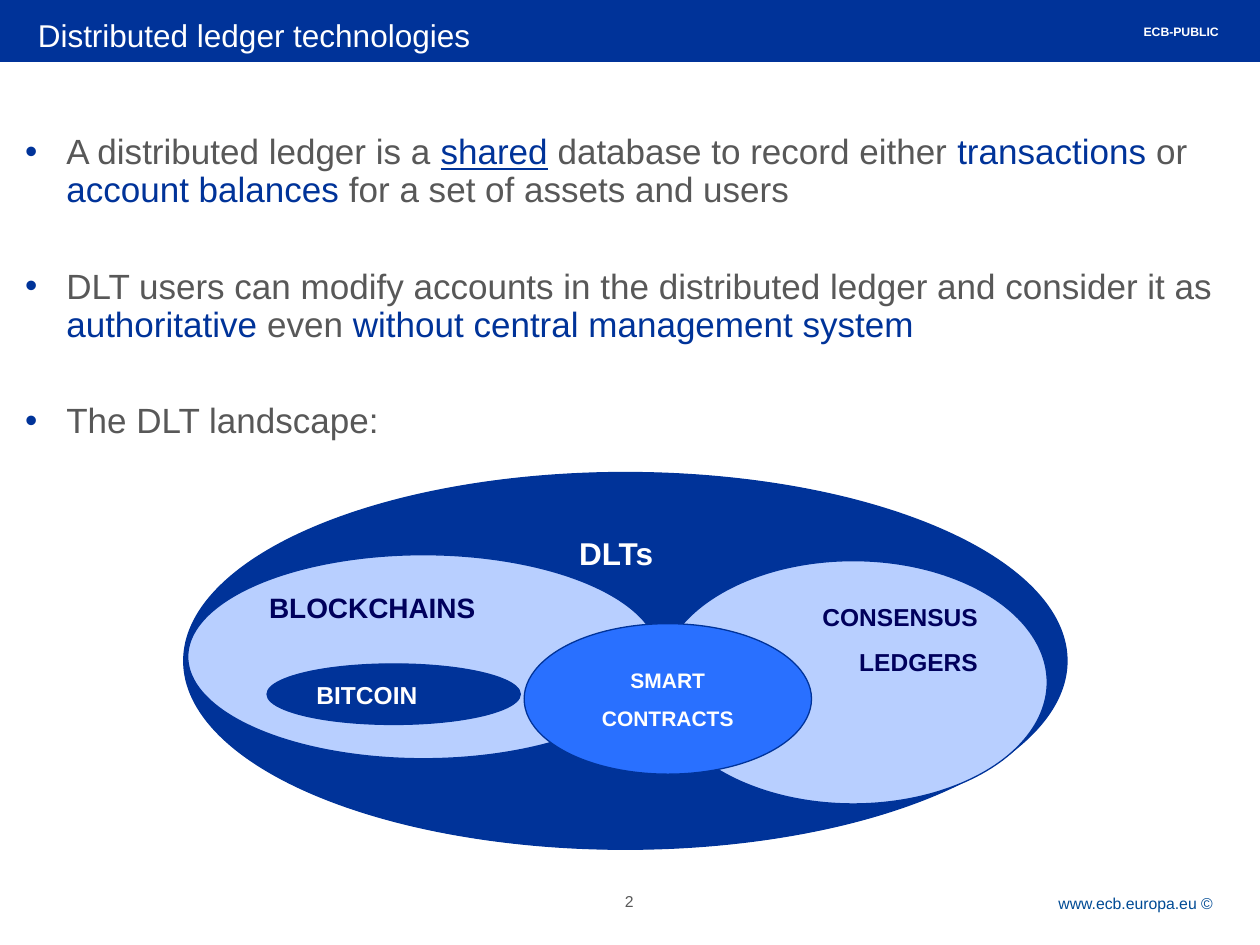
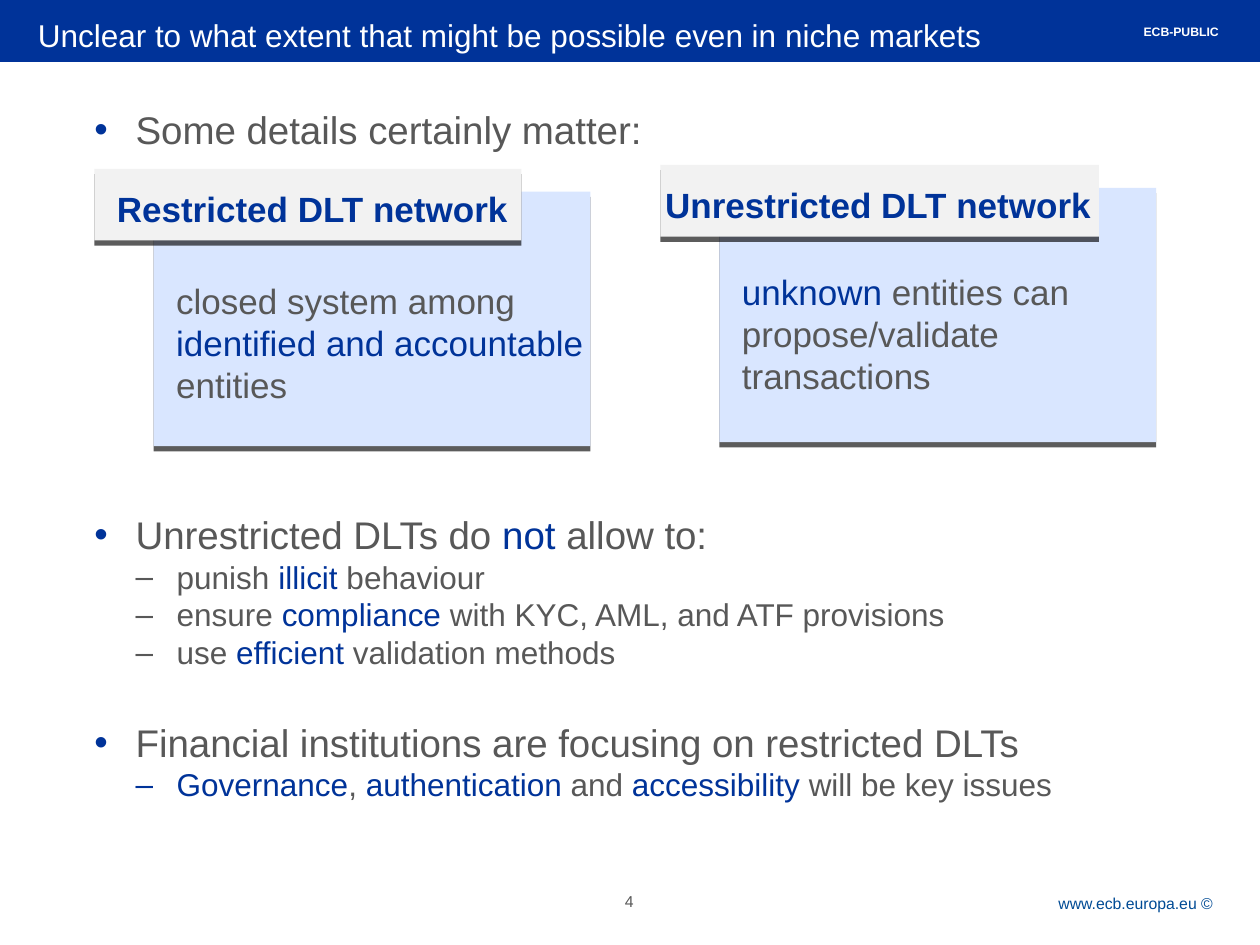
from dataclasses import dataclass

from lxml.etree import SubElement
from pptx import Presentation
from pptx.dml.color import RGBColor
from pptx.enum.shapes import MSO_SHAPE
from pptx.enum.text import MSO_ANCHOR, MSO_AUTO_SIZE, PP_ALIGN
from pptx.oxml.ns import qn
from pptx.util import Pt

NAVY = RGBColor(0x00, 0x33, 0x99)
DEEP = RGBColor(0x00, 0x00, 0x5C)
BRIGHT = RGBColor(0x29, 0x70, 0xFF)
PALE = RGBColor(0xB8, 0xCF, 0xFF)
PANEL = RGBColor(0xD9, 0xE6, 0xFF)
LIGHT = RGBColor(0xF2, 0xF2, 0xF2)
GREY = RGBColor(0x58, 0x58, 0x58)
LINK = RGBColor(0x00, 0x4B, 0x95)
WHITE = RGBColor(0xFF, 0xFF, 0xFF)

FONT = "Arial"
INDENT = 23.5
PADDING = (7.2, 3.6, 7.2, 3.6)
NO_PADDING = (0, 0, 0, 0)


@dataclass
class Span:
    text: str
    colour: RGBColor = GREY
    bold: bool = False
    underline: bool = False


@dataclass
class Line:
    spans: list
    size: float
    align: PP_ALIGN = PP_ALIGN.LEFT
    before: float = 0
    spacing: object = None
    bullet: str = ""
    bullet_colour: RGBColor = NAVY
    level: int = 0


def key(text, underline=False):
    return Span(text, NAVY, underline=underline)


def label(text, size, colour, align=PP_ALIGN.LEFT, before=0):
    return Line([Span(text, colour, True)], size, align, before)


class Deck:
    def __init__(self):
        self.presentation = Presentation()
        self.presentation.slide_width = Pt(720)
        self.presentation.slide_height = Pt(540)
        self.page = None

    def start_page(self, title, number):
        layout = self.presentation.slide_layouts[5]
        self.page = self.presentation.slides.add_slide(layout)
        band = self.shape(MSO_SHAPE.RECTANGLE, (0, -2, 720, 37.2), NAVY, NAVY)
        heading = self.page.shapes.title
        heading.element.addprevious(band.element)
        heading.left, heading.top, heading.width, heading.height = map(
            Pt, (21.6, 9.4, 673, 28))
        self.fill_text(heading, [Line([Span(title, WHITE)], 18)], NO_PADDING)
        self.text((515, 509.8, 180.5, 15),
                  [Line([Span("www.ecb.europa.eu © ", LINK)], 9,
                        PP_ALIGN.RIGHT, spacing=Pt(12))])
        self.text((343.4, 509.8, 32.4, 18.7),
                  [Line([Span(str(number))], 9, PP_ALIGN.CENTER)])
        self.text((553, 10.1, 150.5, 16),
                  [label("ECB-PUBLIC", 7, WHITE, PP_ALIGN.RIGHT)], PADDING)

    def shape(self, kind, place, fill, outline=None):
        shape = self.page.shapes.add_shape(kind, *map(Pt, place))
        shape.shadow.inherit = False
        shape.fill.solid()
        shape.fill.fore_color.rgb = fill
        if outline is None:
            shape.line.fill.background()
        else:
            shape.line.color.rgb = outline
            shape.line.width = Pt(0.75)
        return shape

    def oval(self, place, fill, lines, anchor=MSO_ANCHOR.TOP, left=7.2):
        oval = self.shape(MSO_SHAPE.OVAL, place, fill, NAVY)
        self.fill_text(oval, lines, (left, *PADDING[1:]), anchor)

    def raised_panel(self, place, fill):
        panel = self.shape(MSO_SHAPE.RECTANGLE, place, fill)
        effects = panel.element.spPr.find(qn("a:effectLst"))
        shadow = SubElement(effects, qn("a:outerShdw"), dist=str(Pt(3)),
                            dir="5400000", algn="t", rotWithShape="0")
        black = SubElement(shadow, qn("a:srgbClr"), val="000000")
        SubElement(black, qn("a:alpha"), val="63000")

    def text(self, place, lines, padding=NO_PADDING):
        box = self.page.shapes.add_textbox(*map(Pt, place))
        self.fill_text(box, lines, padding)

    def fill_text(self, box, lines, padding, anchor=MSO_ANCHOR.TOP):
        frame = box.text_frame
        frame.word_wrap = True
        frame.auto_size = MSO_AUTO_SIZE.NONE
        frame.vertical_anchor = anchor
        (frame.margin_left, frame.margin_top,
         frame.margin_right, frame.margin_bottom) = map(Pt, padding)
        for index, line in enumerate(lines):
            para = frame.paragraphs[0] if index == 0 else frame.add_paragraph()
            if line.bullet:
                self.add_bullet(para, line)
            para.alignment = line.align
            para.space_before = Pt(line.before if index else 0)
            if line.spacing:
                para.line_spacing = line.spacing
            for span in line.spans:
                run = para.add_run()
                run.text = span.text
                run.font.name = FONT
                run.font.size = Pt(line.size)
                run.font.bold = span.bold
                run.font.color.rgb = span.colour
                if span.underline:
                    run.font.underline = True

    def add_bullet(self, para, line):
        para.level = line.level
        properties = para._p.get_or_add_pPr()
        properties.set("marL", str(Pt(INDENT * (line.level + 1))))
        properties.set("indent", str(-Pt(INDENT)))
        colour = SubElement(properties, qn("a:buClr"))
        SubElement(colour, qn("a:srgbClr"), val=str(line.bullet_colour))
        SubElement(properties, qn("a:buFont"), typeface=FONT)
        SubElement(properties, qn("a:buChar"), char=line.bullet)

    def network_card(self, left, top, tab_width, name_place, name, body_top, body):
        self.raised_panel((left + 33.8, top + 13, 249.6, 145.4), PANEL)
        self.raised_panel((left, top, tab_width, 41), LIGHT)
        name_left, name_width = name_place
        self.text((name_left, top + 7.2, name_width, 31.7),
                  [label(name, 20, NAVY, PP_ALIGN.CENTER)], PADDING)
        self.text((left + 39.6, body_top, 249.1, 79.2), [Line(body, 20)], PADDING)


def point(spans, size, before=0, spacing=None):
    return Line(spans, size, before=before, spacing=spacing, bullet="•")


def dash(spans, colour=GREY):
    return Line(spans, 18, bullet="–", bullet_colour=colour, level=1)


def add_technologies(deck):
    deck.start_page("Distributed ledger technologies", 2)
    statements = [
        [Span("A distributed ledger is a "), key("shared", True), key(" "),
         Span("database to record either "), key("transactions"),
         Span(" or "), key("account balances"),
         Span(" for a set of assets and users")],
        [Span("DLT users can modify accounts in the distributed ledger "
              "and consider it as "),
         key("authoritative"), Span(" even "),
         key("without central management system")],
        [Span("The DLT landscape:")],
    ]
    deck.text((14.4, 77, 711.4, 190),
              [point(spans, 20, 33.5, 0.9) for spans in statements])

    deck.oval((105, 270, 504.7, 215.3), NAVY, [label("DLTs", 18, WHITE)], left=152)
    deck.oval((107.3, 317, 269.3, 116.6), PALE, [label("BLOCKCHAINS", 16, DEEP)])
    deck.oval((152.6, 379.4, 144.7, 34.6), NAVY,
              [label("BITCOIN", 14, WHITE)], MSO_ANCHOR.MIDDLE)
    deck.oval((376.6, 320.4, 221.8, 139), PALE,
              [label(word, 14, DEEP, PP_ALIGN.RIGHT, 8.8)
               for word in ("CONSENSUS", "LEDGERS")])
    deck.oval((299.5, 356.4, 164.2, 86), BRIGHT,
              [label(word, 12, WHITE, PP_ALIGN.CENTER, 7.5)
               for word in ("SMART", "CONTRACTS")], MSO_ANCHOR.MIDDLE)


def add_networks(deck):
    deck.start_page(
        "Unclear to what extent that might be possible even in niche markets", 4)
    deck.text((54, 60.5, 645, 34),
              [point([Span("Some details certainly matter:")], 22)])
    deck.network_card(
        54, 96.5, 244, (54, 249), "Restricted DLT network", 156.2,
        [Span("closed system among "), key("identified and accountable"),
         Span(" entities")])
    deck.network_card(
        377.3, 94.3, 250.6, (371.5, 260.6), "Unrestricted DLT network", 151.2,
        [key("unknown"), Span(" entities can propose/validate transactions")])
    deck.text((54, 292.3, 645, 199), [
        point([Span("Unrestricted DLTs do "), key("not"), Span(" allow to:")], 22),
        dash([Span("punish "), key("illicit"), Span(" behaviour")]),
        dash([Span("ensure "), key("compliance"),
              Span(" with KYC, AML, and ATF provisions")]),
        dash([Span("use "), key("efficient "), Span("validation methods")]),
        point([Span("Financial institutions are focusing on restricted DLTs")],
              22, 27.4),
        dash([key("Governance"), Span(", "), key("authentication"), Span(" and "),
              key("accessibility "), Span("will be key issues")], NAVY),
    ])


def main():
    deck = Deck()
    add_technologies(deck)
    add_networks(deck)
    deck.presentation.save("out.pptx")


if __name__ == "__main__":
    main()
